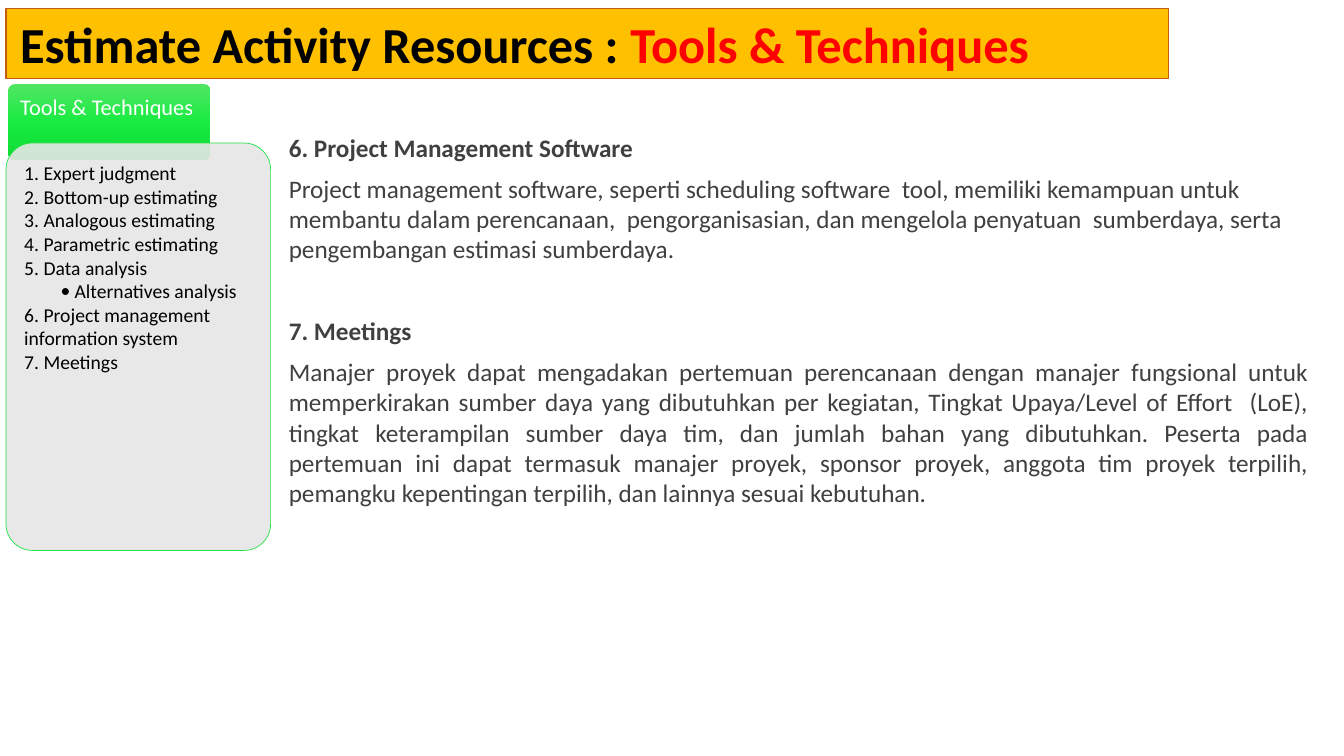
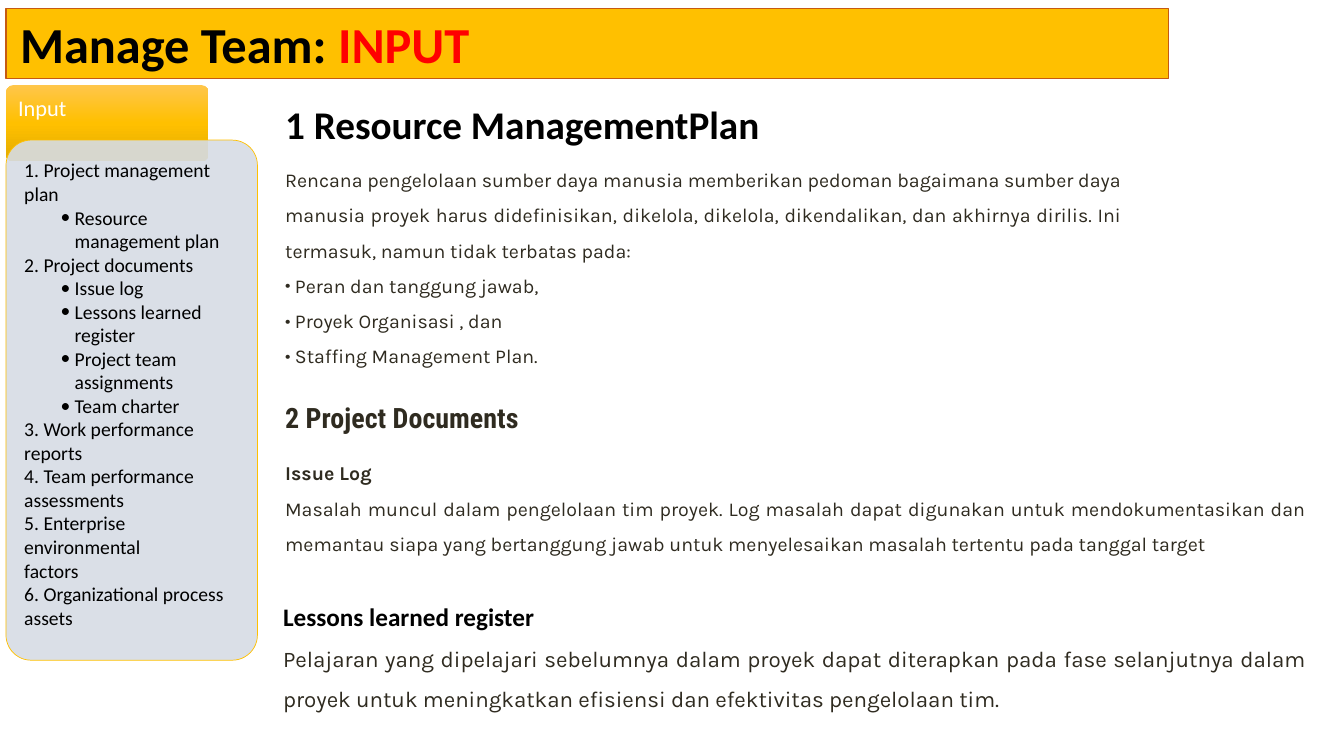
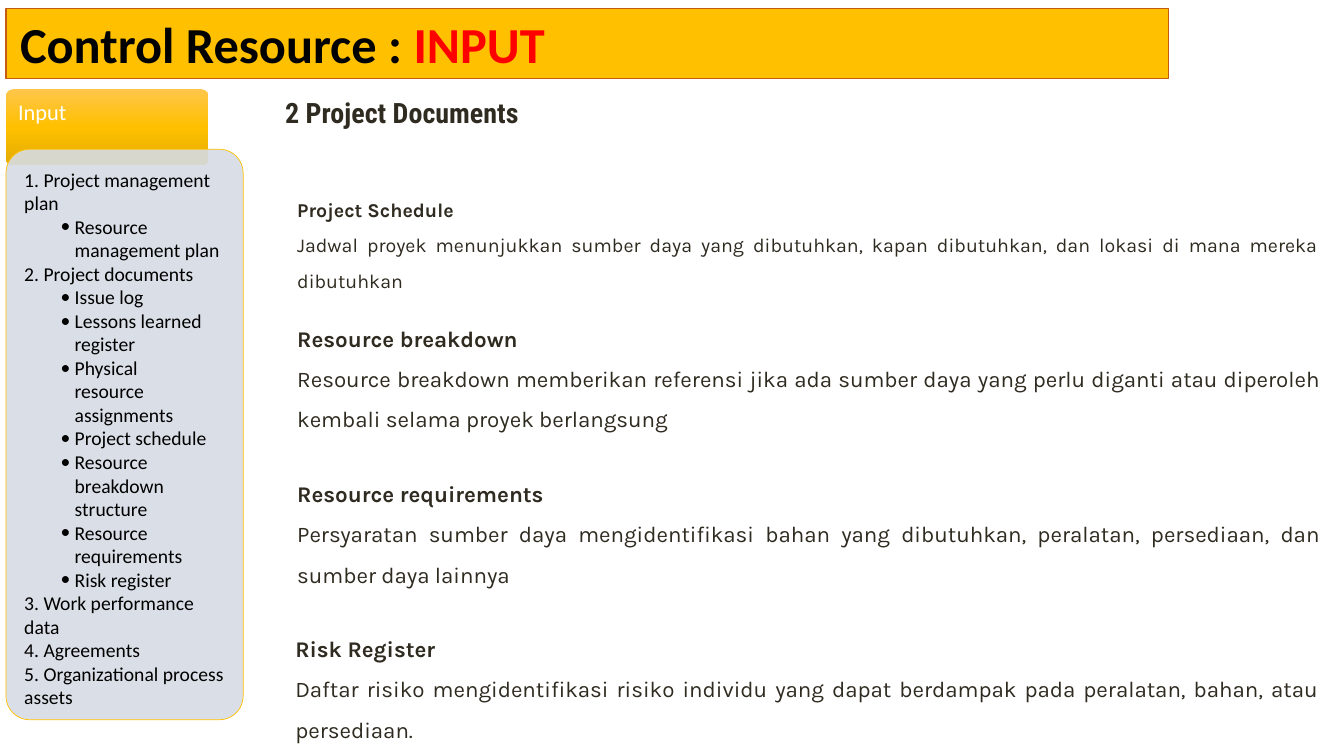
from copy import deepcopy

from pptx import Presentation
from pptx.dml.color import RGBColor
from pptx.enum.shapes import MSO_SHAPE
from pptx.enum.text import MSO_ANCHOR, PP_ALIGN
from pptx.oxml.ns import qn
from pptx.util import Pt
from lxml import etree

RECT, ROUND = MSO_SHAPE.RECTANGLE, MSO_SHAPE.ROUNDED_RECTANGLE
TOP, LOW = MSO_ANCHOR.TOP, MSO_ANCHOR.BOTTOM
LEFT, JUST = PP_ALIGN.LEFT, PP_ALIGN.JUSTIFY

GOLD, RUST, RED, BLACK, WHITE = "FFC000", "C55A11", "FF0000", "000000", "FFFFFF"
GREY, INK = "404040", "2F2B20"
SANS, KARLA, SLIM = "Calibri", "Karla", "Roboto Condensed"

# Text styles: font, size, colour, bold, align, line spacing, space before
STYLES = {
    "tab": (SANS, 16, WHITE, False, LEFT, 0.9, 0),
    "item": (SANS, 14, BLACK, False, LEFT, 1, 0),
    "point": (SANS, 14, BLACK, False, LEFT, 1, 0),
    "lead": (SANS, 18, GREY, True, LEFT, 2, 0),
    "next": (SANS, 18, GREY, True, LEFT, 1, 37.2),
    "plain": (SANS, 18, GREY, False, LEFT, 1, 7.6),
    "even": (SANS, 18, GREY, False, JUST, 1, 7.6),
    "title": (SANS, 28, BLACK, True, LEFT, 0.9, 0),
    "head": (SLIM, 20, INK, True, LEFT, 1, 0),
    "sub": (KARLA, 14, INK, True, JUST, 1.5, 0),
    "body": (KARLA, 14, INK, False, JUST, 1.5, 0),
    "dot": (KARLA, 14, INK, False, JUST, 1.5, 0),
    "lesson": (SANS, 18, BLACK, True, LEFT, 1, 0),
    "sub big": (KARLA, 16, INK, True, JUST, 1.5, 0),
    "body big": (KARLA, 16, INK, False, JUST, 1.5, 0),
}
# Bulleted styles: text indent, hang
BULLETS = {"point": (36, 10), "dot": (7, 7)}

# Side panel themes: tab gradient, panel fill, panel line
GREEN = (("51E663", "19EB42", "0CDB34"), "E7E6E6", "23E148")
AMBER = (("FFC64B", GOLD, "E3AB00"), "D6DCE5", GOLD)

# Slides: title, theme, tab label, tab box, panel box, panel rows, text blocks
# Text blocks: left, top, width, height, anchor, side margin, end margin, rows
SLIDES = [
    {
        "title": ("Estimate Activity Resources : ", "Tools & Techniques"),
        "theme": GREEN,
        "label": "Tools & Techniques",
        "tab": (5.8, 59.8, 144.7, 54.5),
        "panel": (4.3, 102.2, 189, 291),
        "list": [
            ("item", "1. Expert judgment"),
            ("item", "2. Bottom-up estimating"),
            ("item", "3. Analogous estimating"),
            ("item", "4. Parametric estimating"),
            ("item", "5. Data analysis"),
            ("point", "Alternatives analysis"),
            ("item", "6. Project management information system"),
            ("item", "7. Meetings"),
        ],
        "blocks": [
            (206.3, 72.7, 728.4, 324, TOP, 0, 0, [
                ("lead", "6. Project Management Software"),
                ("plain", "Project management software, seperti scheduling software  tool, "
                 "memiliki kemampuan untuk membantu dalam perencanaan,  pengorganisasian, "
                 "dan mengelola penyatuan  sumberdaya, serta pengembangan estimasi "
                 "sumberdaya."),
                ("next", "7. Meetings"),
                ("even", "Manajer proyek dapat mengadakan pertemuan perencanaan dengan "
                 "manajer fungsional untuk memperkirakan sumber daya yang dibutuhkan per "
                 "kegiatan, Tingkat Upaya/Level of Effort  (LoE), tingkat keterampilan "
                 "sumber daya tim, dan jumlah bahan yang dibutuhkan. Peserta pada pertemuan "
                 "ini dapat termasuk manajer proyek, sponsor proyek, anggota tim proyek "
                 "terpilih, pemangku kepentingan terpilih, dan lainnya sesuai kebutuhan."),
            ]),
        ],
    },
    {
        "title": ("Manage Team: ", "INPUT"),
        "theme": AMBER,
        "label": "Input",
        "tab": (4.3, 60.7, 144.7, 54.5),
        "panel": (4.3, 100.1, 179.6, 371.5),
        "list": [
            ("item", "1. Project management plan"),
            ("point", "Resource management plan"),
            ("item", "2. Project documents"),
            ("point", "Issue log"),
            ("point", "Lessons learned register"),
            ("point", "Project team assignments"),
            ("point", "Team charter"),
            ("item", "3. Work performance reports"),
            ("item", "4. Team performance assessments"),
            ("item", "5. Enterprise environmental\vfactors"),
            ("item", "6. Organizational process assets"),
        ],
        "blocks": [
            (196.6, 60.5, 453.6, 52.6, LOW, 7.2, 7.2, [
                ("title", "1 Resource ManagementPlan"),
            ]),
            (196.6, 108, 612, 157, TOP, 7.2, 3.6, [
                ("body", "Rencana pengelolaan sumber daya manusia memberikan pedoman "
                 "bagaimana sumber daya manusia proyek harus didefinisikan, dikelola, "
                 "dikelola, dikendalikan, dan akhirnya dirilis. Ini termasuk, namun tidak "
                 "terbatas pada:"),
                ("dot", "Peran dan tanggung jawab,"),
                ("dot", "Proyek Organisasi , dan"),
                ("dot", "Staffing Management Plan."),
            ]),
            (196.6, 265, 453.6, 52.6, LOW, 7.2, 7.2, [
                ("head", "2 Project Documents"),
            ]),
            (196.6, 317.5, 743.8, 83.5, TOP, 7.2, 3.6, [
                ("sub", "Issue Log"),
                ("body", "Masalah muncul dalam pengelolaan tim proyek. Log masalah dapat "
                 "digunakan untuk mendokumentasikan dan memantau siapa yang bertanggung "
                 "jawab untuk menyelesaikan masalah tertentu pada tanggal target"),
            ]),
            (195.1, 426.2, 745.2, 87.1, TOP, 7.2, 3.6, [
                ("lesson", "Lessons learned register"),
                ("body big", "Pelajaran yang dipelajari sebelumnya dalam proyek dapat "
                 "diterapkan pada fase selanjutnya dalam proyek untuk meningkatkan "
                 "efisiensi dan efektivitas pengelolaan tim."),
            ]),
        ],
    },
    {
        "title": ("Control Resource : ", "INPUT"),
        "theme": AMBER,
        "label": "Input",
        "tab": (4.3, 63.6, 144.7, 54.5),
        "panel": (4.3, 106.6, 169.4, 407.5),
        "list": [
            ("item", "1. Project management plan"),
            ("point", "Resource management plan"),
            ("item", "2. Project documents"),
            ("point", "Issue log"),
            ("point", "Lessons learned register"),
            ("point", "Physical\vresource\vassignments"),
            ("point", "Project schedule"),
            ("point", "Resource\vbreakdown\vstructure"),
            ("point", "Resource requirements"),
            ("point", "Risk register"),
            ("item", "3. Work performance data"),
            ("item", "4. Agreements"),
            ("item", "5. Organizational process assets"),
        ],
        "blocks": [
            (196.6, 46.6, 453.6, 52.6, LOW, 7.2, 7.2, [
                ("head", "2 Project Documents"),
            ]),
            (205.2, 129.6, 743.8, 83.5, TOP, 7.2, 3.6, [
                ("sub", "Project Schedule"),
                ("body", "Jadwal proyek menunjukkan sumber daya yang dibutuhkan, kapan "
                 "dibutuhkan, dan lokasi di mana mereka dibutuhkan"),
            ]),
            (205.2, 218.9, 745.2, 94.3, TOP, 7.2, 3.6, [
                ("sub big", "Resource breakdown"),
                ("body big", "Resource breakdown memberikan referensi jika ada sumber daya "
                 "yang perlu diganti atau diperoleh kembali selama proyek berlangsung"),
            ]),
            (205.2, 329.8, 745.2, 94.3, TOP, 7.2, 3.6, [
                ("sub big", "Resource requirements"),
                ("body big", "Persyaratan sumber daya mengidentifikasi bahan yang "
                 "dibutuhkan, peralatan, persediaan, dan sumber daya lainnya"),
            ]),
            (203.8, 440.6, 745.2, 94.3, TOP, 7.2, 3.6, [
                ("sub big", "Risk Register"),
                ("body big", "Daftar risiko mengidentifikasi risiko individu yang dapat "
                 "berdampak pada peralatan, bahan, atau persediaan."),
            ]),
        ],
    },
]


def hue(code):
    return RGBColor.from_string(code)


def write(frame, rows, anchor, margins):
    """Fill a text frame with (style, text) rows; margins: left, top, right, bottom."""
    frame.word_wrap = True
    frame.vertical_anchor = anchor
    (frame.margin_left, frame.margin_top,
     frame.margin_right, frame.margin_bottom) = [Pt(m) for m in margins]
    for i, (style, text) in enumerate(rows):
        font, size, colour, bold, align, lines, gap = STYLES[style]
        par = frame.add_paragraph() if i else frame.paragraphs[0]
        par.text = text
        par.alignment = align
        par.line_spacing = lines
        par.space_before = Pt(gap)
        if style in BULLETS:
            inset, hang = BULLETS[style]
            props = par._p.get_or_add_pPr()
            props.set("marL", str(Pt(inset)))
            props.set("indent", str(-Pt(hang)))
            etree.SubElement(props, qn("a:buFont")).set("typeface", font)
            etree.SubElement(props, qn("a:buChar")).set("char", "•")
        for run in par.runs:
            run.font.name = font
            run.font.size = Pt(size)
            run.font.bold = bold
            run.font.color.rgb = hue(colour)


deck = Presentation()
deck.slide_width, deck.slide_height = Pt(960), Pt(540)

for page in SLIDES:
    slide = deck.slides.add_slide(deck.slide_layouts[6])
    shapes = slide.shapes

    # Title bar
    bar = shapes.add_shape(RECT, Pt(4.3), Pt(5.8), Pt(830.2), Pt(50.4))
    bar.shadow.inherit = False
    bar.fill.solid()
    bar.fill.fore_color.rgb = hue(GOLD)
    bar.line.color.rgb = hue(RUST)
    bar.line.width = Pt(0.75)
    frame = bar.text_frame
    frame.margin_left = Pt(10)
    frame.vertical_anchor = TOP
    par = frame.paragraphs[0]
    par.alignment = LEFT
    for text, colour in zip(page["title"], (BLACK, RED)):
        run = par.add_run()
        run.text = text
        run.font.name = SANS
        run.font.size = Pt(36)
        run.font.bold = True
        run.font.color.rgb = hue(colour)

    # Text blocks
    for left, top, width, height, anchor, side, end, rows in page["blocks"]:
        box = shapes.add_textbox(Pt(left), Pt(top), Pt(width), Pt(height))
        write(box.text_frame, rows, anchor, (side, end, side, end))

    # Tab with a three-stop gradient
    shades, paper, edge = page["theme"]
    tab = shapes.add_shape(ROUND, *[Pt(n) for n in page["tab"]])
    tab.adjustments[0] = 0.1
    tab.shadow.inherit = False
    tab.line.fill.background()
    tab.fill.gradient()
    tab.fill.gradient_angle = 270
    stops = tab._element.spPr.find(qn("a:gradFill")).find(qn("a:gsLst"))
    stops.insert(1, deepcopy(stops[0]))
    for stop, shade, place in zip(tab.fill.gradient_stops, shades, (0, 0.5, 1)):
        stop.color.rgb = hue(shade)
        stop.position = place
    write(tab.text_frame, [("tab", page["label"])], TOP, (7, 7, 7, 21))

    # Panel, its margins eased by what the round corners take
    panel = shapes.add_shape(ROUND, *[Pt(n) for n in page["panel"]])
    panel.adjustments[0] = 0.1
    panel.shadow.inherit = False
    panel.fill.solid()
    panel.fill.fore_color.rgb = hue(paper)
    tint = panel._element.spPr.find(qn("a:solidFill"))[0]
    etree.SubElement(tint, qn("a:alpha")).set("val", "90000")
    panel.line.color.rgb = hue(edge)
    panel.line.width = Pt(0.5)
    pad = round(13 - 0.029 * page["panel"][2], 2)
    write(panel.text_frame, page["list"], TOP, [pad] * 4)

deck.save("out.pptx")
